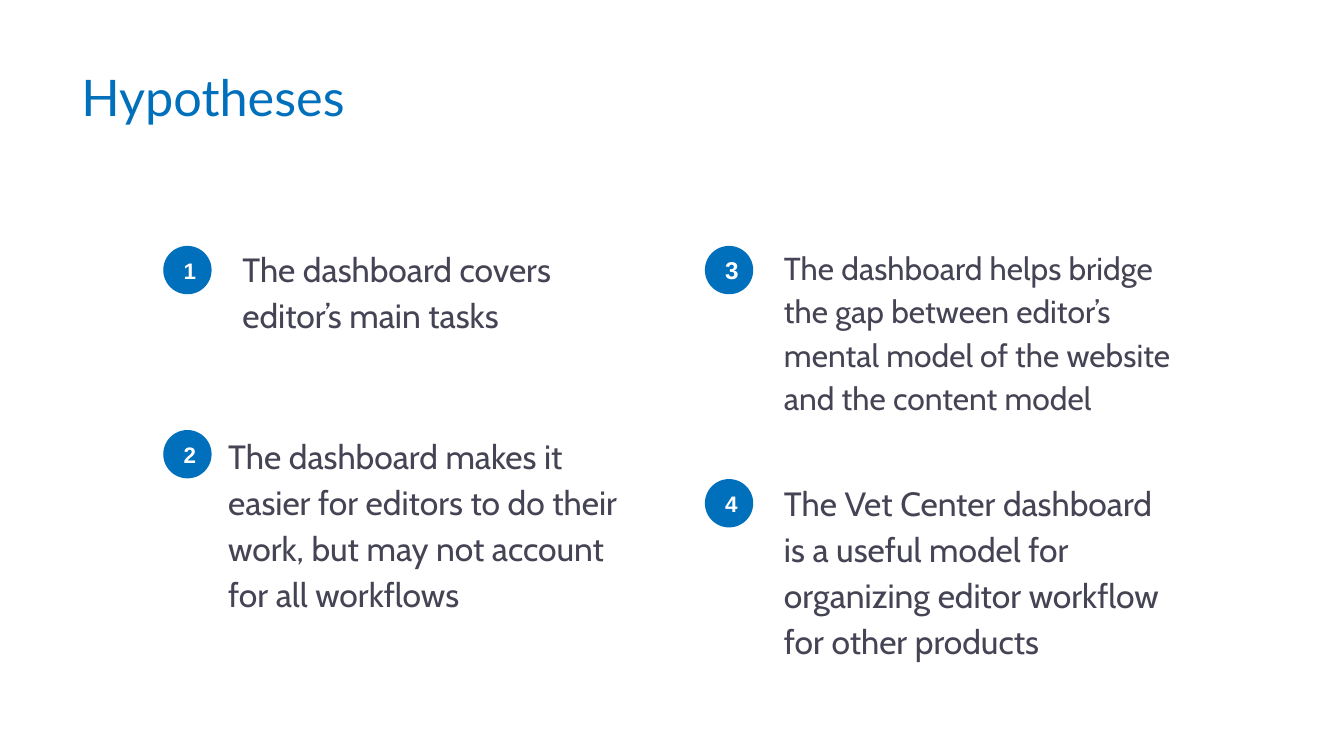
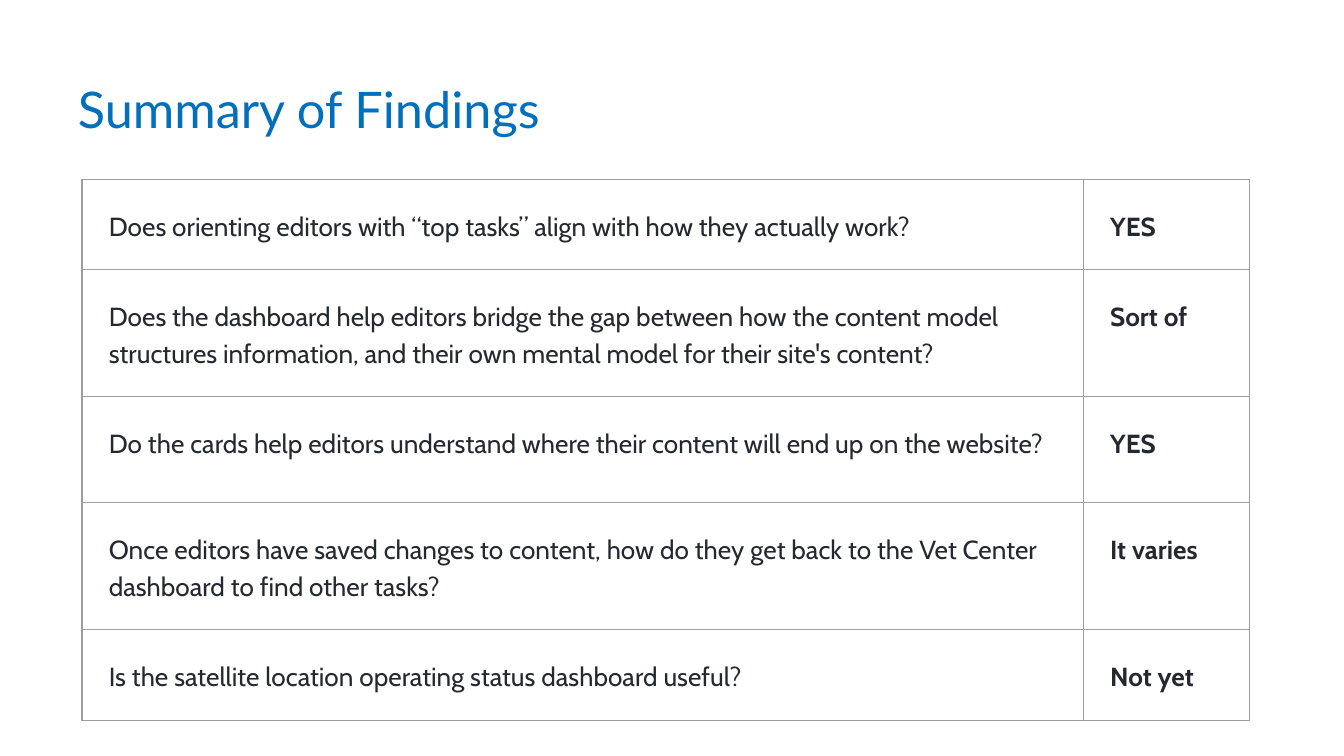
from lxml.etree import SubElement
from pptx import Presentation
from pptx.dml.color import RGBColor
from pptx.enum.shapes import MSO_SHAPE
from pptx.enum.text import MSO_ANCHOR, MSO_AUTO_SIZE, PP_ALIGN
from pptx.oxml.ns import qn
from pptx.util import Pt

PX = 4572
COLORS = {
    "blue": "0070BC",
    "body": "454454",
    "ink": "24292F",
    "grid": "9E9E9E",
    "white": "FFFFFF",
}
HYPOTHESES = [
    ("1", 243, 366, "The dashboard covers editor’s main tasks", {"align": PP_ALIGN.LEFT}),
    ("2", 243, 640, "The dashboard makes it easier for editors to do their work, "
     "but may not account for all workflows", {"text_x": 320, "text_y": 621}),
    ("3", 1049, 366, "The dashboard helps bridge the gap between editor’s mental "
     "model of the website and the content model", {"number_size": 13, "text_size": 17}),
    ("4", 1049, 713, "The Vet Center dashboard is a useful model for organizing "
     "editor workflow for other products", {"text_y": 691}),
]
FINDINGS = [
    ("Does orienting editors with “top tasks” align with how they actually work?", "YES"),
    ("Does the dashboard help editors bridge the gap between how the content model "
     "structures information, and their own mental model for their site's content?", "Sort of"),
    ("Do the cards help editors understand where their content will end up on the website?", "YES"),
    ("Once editors have saved changes to content, how do they get back to the Vet Center "
     "dashboard to find other tasks?", "It varies"),
    ("Is the satellite location operating status dashboard useful?", "Not yet"),
]


def px(*lengths):
    return [length * PX for length in lengths]


def color(name):
    return RGBColor.from_string(COLORS[name])


def write(frame, text, font="Cabin", size=18, fill="body", bold=False,
          align=PP_ALIGN.LEFT, spacing=None):
    paragraph = frame.paragraphs[0]
    paragraph.alignment = align
    if spacing:
        paragraph.line_spacing = spacing
    run = paragraph.add_run()
    run.text = text
    run.font.name = font
    run.font.size = Pt(size)
    run.font.bold = bold
    run.font.color.rgb = color(fill)


class Deck:
    def __init__(self):
        self.presentation = Presentation()
        self.presentation.slide_width, self.presentation.slide_height = px(2000, 1125)
        self.slide = None

    def add_slide(self, title, left, top, width, height):
        self.slide = self.presentation.slides.add_slide(self.presentation.slide_layouts[5])
        shape = self.slide.shapes.title
        shape.left, shape.top, shape.width, shape.height = px(left, top, width, height)
        self.set_frame(shape.text_frame)
        write(shape.text_frame, title, font="Lato", size=27, fill="blue")

    def set_frame(self, frame, anchor=MSO_ANCHOR.TOP):
        frame.word_wrap = True
        frame.auto_size = MSO_AUTO_SIZE.NONE
        frame.vertical_anchor = anchor
        frame.margin_left, frame.margin_top, frame.margin_right, frame.margin_bottom = px(*[20] * 4)

    def add_text(self, text, left, top, width, height, **style):
        frame = self.slide.shapes.add_textbox(*px(left, top, width, height)).text_frame
        self.set_frame(frame)
        write(frame, text, **style)

    def add_badge(self, number, left, top, size, align):
        shape = self.slide.shapes.add_shape(MSO_SHAPE.OVAL, *px(left, top, 72, 72))
        shape.shadow.inherit = False
        shape.fill.solid()
        shape.fill.fore_color.rgb = color("blue")
        shape.line.fill.background()
        self.set_frame(shape.text_frame, MSO_ANCHOR.MIDDLE)
        write(shape.text_frame, number, font="Arial", size=size, fill="white", bold=True, align=align)

    def add_hypothesis(self, number, left, top, text, text_x=None, text_y=None,
                       number_size=12, text_size=18, align=PP_ALIGN.CENTER):
        self.add_badge(number, left, top, number_size, align)
        self.add_text(text, text_x or left + 98, text_y or top - 24, 620, 230,
                      size=text_size, spacing=1.14)

    def add_table(self, rows, left, top, widths, heights):
        frame = self.slide.shapes.add_table(
            len(rows), len(widths), *px(left, top, sum(widths), sum(heights)))
        table = frame.table
        table.first_row = table.horz_banding = False
        for column, width in zip(table.columns, px(*widths)):
            column.width = width
        for row, height, texts in zip(table.rows, px(*heights), rows):
            row.height = height
            for index, (cell, text) in enumerate(zip(row.cells, texts)):
                self.format_cell(cell)
                write(cell.text_frame, text, size=14, fill="ink", bold=index == 1, spacing=1.15)

    def format_cell(self, cell):
        cell.margin_left, cell.margin_top, cell.margin_right, cell.margin_bottom = px(*[40] * 4)
        properties = cell._tc.get_or_add_tcPr()
        for side in ("lnL", "lnR", "lnT", "lnB"):
            line = SubElement(properties, qn(f"a:{side}"), w=str(Pt(0.75)))
            SubElement(SubElement(line, qn("a:solidFill")), qn("a:srgbClr"), val=COLORS["grid"])
        cell.fill.background()


def main():
    deck = Deck()
    deck.add_slide("Hypotheses", 101, 78, 1682, 118)
    for number, left, top, text, options in HYPOTHESES:
        deck.add_hypothesis(number, left, top, text, **options)

    deck.add_slide("Summary of Findings", 96, 96, 1438, 132)
    deck.add_table(FINDINGS, 122, 267, widths=[1490, 247], heights=[130, 188, 158, 158, 112])
    deck.presentation.save("out.pptx")


if __name__ == "__main__":
    main()
